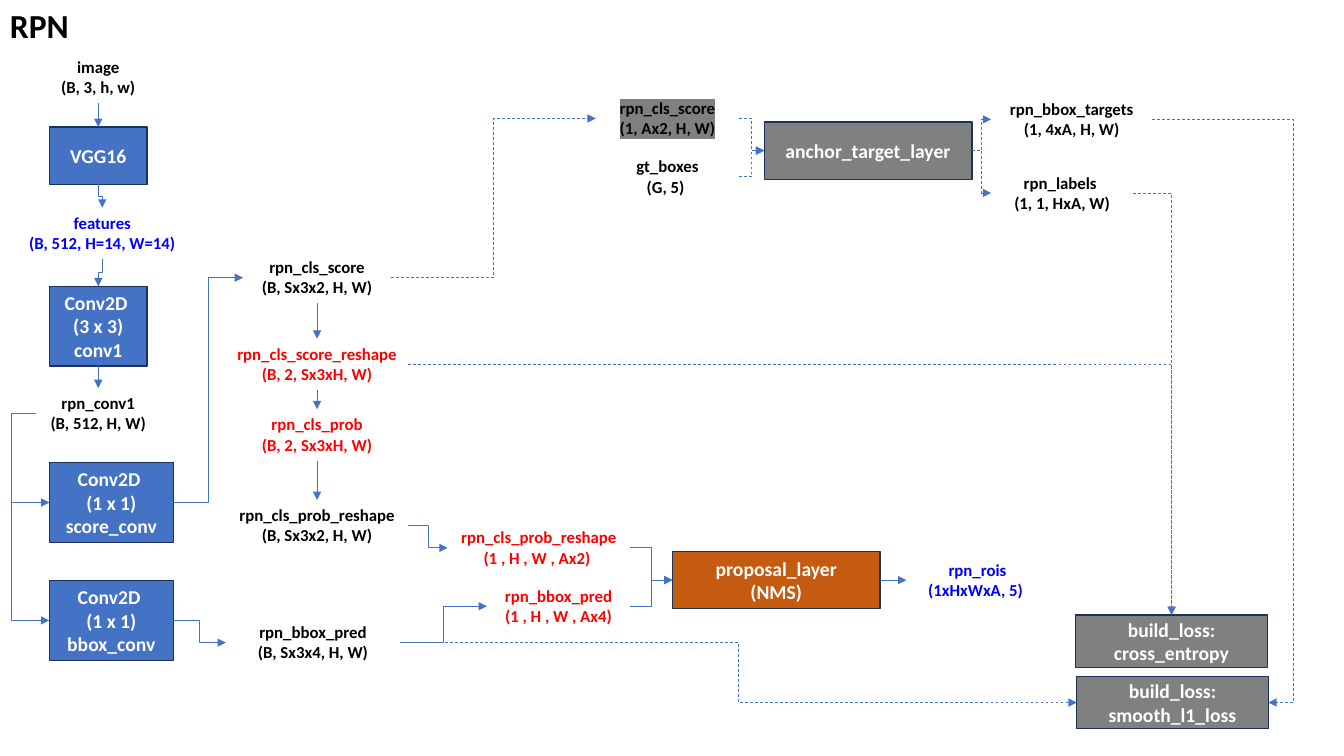
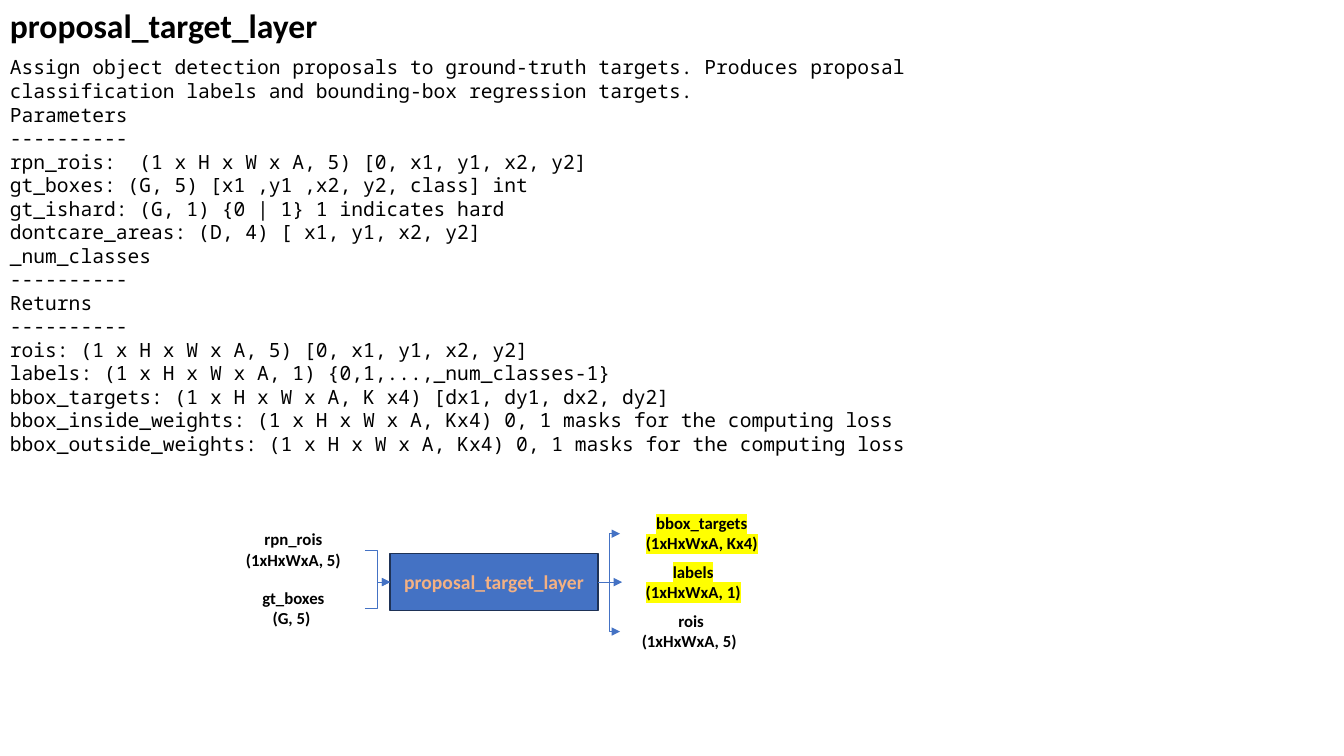
from dataclasses import dataclass
from typing import NamedTuple

from lxml import etree
from pptx import Presentation
from pptx import util as u
from pptx.dml.color import RGBColor
from pptx.enum import dml, shapes, text
from pptx.oxml import ns

PX = 9144  # EMU in one px, 100 px to the inch
TOP, LEFT, BOTTOM, RIGHT = range(4)  # connection sites of a rectangle
LABEL_HEIGHT = 51
BLOCK_HEIGHT = 57
INPUT_STEP = 29  # inputs sit this far above and below a layer's top


@dataclass(frozen=True)
class Theme:
    black: str = "000000"
    white: str = "FFFFFF"
    blue: str = "4472C4"
    navy: str = "1E3256"
    gray: str = "808080"
    orange: str = "C55A11"
    peach: str = "F4B183"
    red: str = "FF0000"
    bright_blue: str = "0000FF"
    yellow: str = "FFFF00"
    sans: str = "Calibri"
    mono: str = "Noto Sans Mono"
    title_size: int = 24
    block_size: int = 14
    label_size: int = 12
    border: float = 1
    wire: float = 0.5


THEME = Theme()


class Box(NamedTuple):
    left: int
    top: int
    width: int
    height: int = LABEL_HEIGHT

    def emu(self):
        return [value * PX for value in self]

    def inside(self, left, top, width, height=LABEL_HEIGHT):
        """Box given by offsets from this box's corner."""
        return Box(self.left + left, self.top + top, width, height)


def set_all(target, values):
    for name, value in values.items():
        setattr(target, name, value)


def add_xml(parent, tag, **attributes):
    return etree.SubElement(parent, ns.qn(tag), attributes)


def write(shape, words, size, color, align, bold=True, face=THEME.sans, mark=None):
    frame = shape.text_frame
    frame.text = words
    frame.word_wrap = True
    for para in frame.paragraphs:
        para.alignment = align
        for span in para.runs:
            set_all(span.font, {"name": face, "size": u.Pt(size), "bold": bold})
            span.font.color.rgb = RGBColor.from_string(color)
            if mark:
                latin = span.font._element.find(ns.qn("a:latin"))
                highlight = etree.Element(ns.qn("a:highlight"))
                add_xml(highlight, "a:srgbClr", val=mark)
                latin.addprevious(highlight)


def add_text(page, box, words, size, color, align, **options):
    shape = page.shapes.add_textbox(*box.emu())
    write(shape, words, size, color, align, **options)
    shape.text_frame.auto_size = text.MSO_AUTO_SIZE.SHAPE_TO_FIT_TEXT
    return shape


def add_title(page, words):
    add_text(page, Box(0, 0, 337, 50), words, THEME.title_size, THEME.black,
             text.PP_ALIGN.LEFT)


def add_label(page, box, words, color=THEME.black, mark=None):
    return add_text(page, box, words, THEME.label_size, color,
                    text.PP_ALIGN.CENTER, mark=mark)


def add_block(page, box, words, fill=THEME.blue, color=THEME.white):
    block = page.shapes.add_shape(shapes.MSO_SHAPE.RECTANGLE, *box.emu())
    block.shadow.inherit = False
    block.fill.solid()
    block.fill.fore_color.rgb = RGBColor.from_string(fill)
    block.line.color.rgb = RGBColor.from_string(THEME.navy)
    block.line.width = u.Pt(THEME.border)
    block.text_frame.vertical_anchor = text.MSO_ANCHOR.MIDDLE
    write(block, words, THEME.block_size, color, text.PP_ALIGN.CENTER)
    return block


def stand_up(wire):
    """Turn an elbow so that it leaves and arrives vertically."""
    across, down = wire.end_x - wire.begin_x, wire.end_y - wire.begin_y
    middle_x = (wire.begin_x + wire.end_x) // 2
    middle_y = (wire.begin_y + wire.end_y) // 2
    frame = wire.element.spPr.find(ns.qn("a:xfrm"))
    for flip in ("flipH", "flipV"):
        frame.attrib.pop(flip, None)
    frame.set("rot", "5400000" if across < 0 else "16200000")
    if across > 0:
        frame.set("flipH", "1")
    set_all(wire, {"left": middle_x - down // 2, "top": middle_y - abs(across) // 2,
                   "width": down, "height": abs(across)})


def link(page, start, leave, finish, arrive, dashed=False, bend=None):
    """Arrow between two connection sites; bend is the px column of the turn."""
    wire = page.shapes.add_connector(shapes.MSO_CONNECTOR.ELBOW, 0, 0, 0, 0)
    wire.begin_connect(start, leave)
    wire.end_connect(finish, arrive)
    across, down = wire.end_x - wire.begin_x, wire.end_y - wire.begin_y
    properties = wire.element.spPr
    geometry = properties.find(ns.qn("a:prstGeom"))
    if min(abs(across), abs(down)) < PX:
        geometry.set("prst", "straightConnector1")
    elif arrive == TOP and leave == RIGHT:
        geometry.set("prst", "bentConnector2")
    elif arrive == TOP:
        stand_up(wire)
    if bend is not None:
        share = round((bend * PX - wire.begin_x) / across * 100000)
        guides = geometry.find(ns.qn("a:avLst"))
        add_xml(guides, "a:gd", name="adj1", fmla=f"val {share}")
    wire.line.color.rgb = RGBColor.from_string(THEME.blue)
    wire.line.width = u.Pt(THEME.wire)
    if dashed:
        wire.line.dash_style = dml.MSO_LINE.DASH
    add_xml(properties.find(ns.qn("a:ln")), "a:tailEnd", type="triangle")
    add_xml(properties, "a:effectLst")


def link_down(page, chain):
    for upper, lower in zip(chain, chain[1:]):
        link(page, upper, BOTTOM, lower, TOP)


def layer_stage(page, box, words, inputs, outputs, gap, dashed=False, **colors):
    """Layer block fed by two labels and fanning out to others.

    inputs hold width, words and format; outputs hold offsets from the
    block's top right corner, then the same.
    """
    block = add_block(page, box, words, **colors)
    sources, results = [], []
    for row, (width, words, style) in enumerate(inputs):
        place = box.inside(-gap - width, (2 * row - 1) * INPUT_STEP, width)
        sources.append(add_label(page, place, words, **style))
        link(page, sources[-1], RIGHT, block, LEFT, dashed)
    for across, down, width, words, style in outputs:
        place = box.inside(box.width + across, down, width)
        results.append(add_label(page, place, words, **style))
        link(page, block, RIGHT, results[-1], LEFT, dashed)
    return sources, results


def backbone(page, box):
    """Feature column; returns the score and box convolutions."""
    chain = [
        add_label(page, box.inside(41, 0, 97), "image\n(B, 3, h, w)"),
        add_block(page, box.inside(41, 75, 97, BLOCK_HEIGHT), "VGG16"),
        add_label(page, box.inside(0, 155, 187), "features\n(B, 512, H=14, W=14)",
                  THEME.bright_blue),
        add_block(page, box.inside(41, 233, 97, 79), "Conv2D \n(3 x 3)\nconv1"),
        add_label(page, box.inside(28, 334, 123), "rpn_conv1\n(B, 512, H, W)"),
    ]
    link_down(page, chain)
    heads = []
    for row, name in enumerate(("score_conv", "bbox_conv")):
        place = box.inside(41, 408 + 117 * row, 123, 79)
        heads.append(add_block(page, place, f"Conv2D \n(1 x 1)\n{name}"))
        link(page, chain[-1], LEFT, heads[-1], LEFT, bend=box.left + 3)
    return heads


def head_outputs(page, box):
    """Class score chain, then the box prediction below it."""
    chain = [
        add_label(page, box.inside(17, 0, 147), "rpn_cls_score\n(B, Sx3x2, H, W)"),
        add_label(page, box.inside(0, 86, 181),
                  "rpn_cls_score_reshape\n(B, 2, Sx3xH, W)", THEME.red),
        add_label(page, box.inside(0, 156, 181), "rpn_cls_prob\n(B, 2, Sx3xH, W)",
                  THEME.red),
        add_label(page, box.inside(0, 246, 181),
                  "rpn_cls_prob_reshape\n(B, Sx3x2, H, W)"),
    ]
    link_down(page, chain)
    prediction = add_label(page, box.inside(0, 362, 173),
                           "rpn_bbox_pred\n(B, Sx3x4, H, W)")
    return chain, prediction


def losses(page, box):
    return [add_block(page, box.inside(row, 61 * row, 190, 52),
                      f"build_loss:\n{name}", THEME.gray)
            for row, name in enumerate(("cross_entropy", "smooth_l1_loss"))]


def rpn_page(page):
    add_title(page, "RPN")
    score_conv, bbox_conv = backbone(page, Box(8, 51, 187, 604))
    (score, reshaped, _, prob), prediction = head_outputs(page, Box(224, 250, 181, 413))
    red = {"color": THEME.red}
    (prob_input, box_input), _ = layer_stage(
        page, Box(667, 547, 206, BLOCK_HEIGHT), "proposal_layer\n(NMS)",
        [(181, "rpn_cls_prob_reshape\n(1 , H , W , Ax2) ", red),
         (142, "rpn_bbox_pred\n(1 , H , W , Ax4)", red)],
        [(26, 3, 141, "rpn_rois\n(1xHxWxA, 5) ", {"color": THEME.bright_blue})],
        gap=42, fill=THEME.orange)
    (score_input, _), (targets, labels) = layer_stage(
        page, Box(758, 121, 206, BLOCK_HEIGHT), "anchor_target_layer",
        [(142, "rpn_cls_score\n(1, Ax2, H, W)", {"mark": THEME.gray}),
         (142, "gt_boxes\n(G, 5) ", {})],
        [(19, -28, 160, "rpn_bbox_targets\n(1, 4xA, H, W)", {}),
         (19, 45, 141, "rpn_labels \n(1, 1, HxA, W)", {})],
        gap=25, dashed=True, fill=THEME.gray)
    cross_entropy, smooth_loss = losses(page, Box(1067, 610, 191, 113))

    for start, finish in ((score_conv, score), (bbox_conv, prediction),
                          (prob, prob_input), (prediction, box_input)):
        link(page, start, RIGHT, finish, LEFT)
    for start, finish, arrive, bend in (
            (score, score_input, LEFT, None),
            (reshaped, cross_entropy, TOP, None),
            (labels, cross_entropy, TOP, None),
            (prediction, smooth_loss, LEFT, None),
            (targets, smooth_loss, RIGHT, 1283)):
        link(page, start, RIGHT, finish, arrive, True, bend)


DESCRIPTION = """\
Assign object detection proposals to ground-truth targets. Produces proposal
classification labels and bounding-box regression targets.
Parameters
----------
rpn_rois:  (1 x H x W x A, 5) [0, x1, y1, x2, y2]
gt_boxes: (G, 5) [x1 ,y1 ,x2, y2, class] int
gt_ishard: (G, 1) {0 | 1} 1 indicates hard
dontcare_areas: (D, 4) [ x1, y1, x2, y2]
_num_classes
----------
Returns
----------
rois: (1 x H x W x A, 5) [0, x1, y1, x2, y2]
labels: (1 x H x W x A, 1) {0,1,...,_num_classes-1}
bbox_targets: (1 x H x W x A, K x4) [dx1, dy1, dx2, dy2]
bbox_inside_weights: (1 x H x W x A, Kx4) 0, 1 masks for the computing loss
bbox_outside_weights: (1 x H x W x A, Kx4) 0, 1 masks for the computing loss"""


def proposal_target_page(page):
    add_title(page, "proposal_target_layer")
    add_text(page, Box(0, 50, 1323, 411), DESCRIPTION, THEME.block_size, THEME.black,
             text.PP_ALIGN.LEFT, bold=False, face=THEME.mono)
    marked = {"mark": THEME.yellow}
    layer_stage(
        page, Box(387, 549, 206, BLOCK_HEIGHT), "proposal_target_layer",
        [(142, "rpn_rois\n(1xHxWxA, 5)", {}), (142, "gt_boxes\n(G, 5) ", {})],
        [(22, -45, 162, "bbox_targets\n(1xHxWxA, Kx4)", marked),
         (24, 3, 141, "labels\n(1xHxWxA, 1)", marked),
         (22, 52, 141, "rois\n(1xHxWxA, 5) ", {})],
        gap=25, color=THEME.peach)


def main():
    deck = Presentation()
    set_all(deck, {"slide_width": 1333 * PX, "slide_height": 750 * PX})
    for build in (rpn_page, proposal_target_page):
        build(deck.slides.add_slide(deck.slide_layouts[6]))
    deck.save("out.pptx")


if __name__ == "__main__":
    main()
